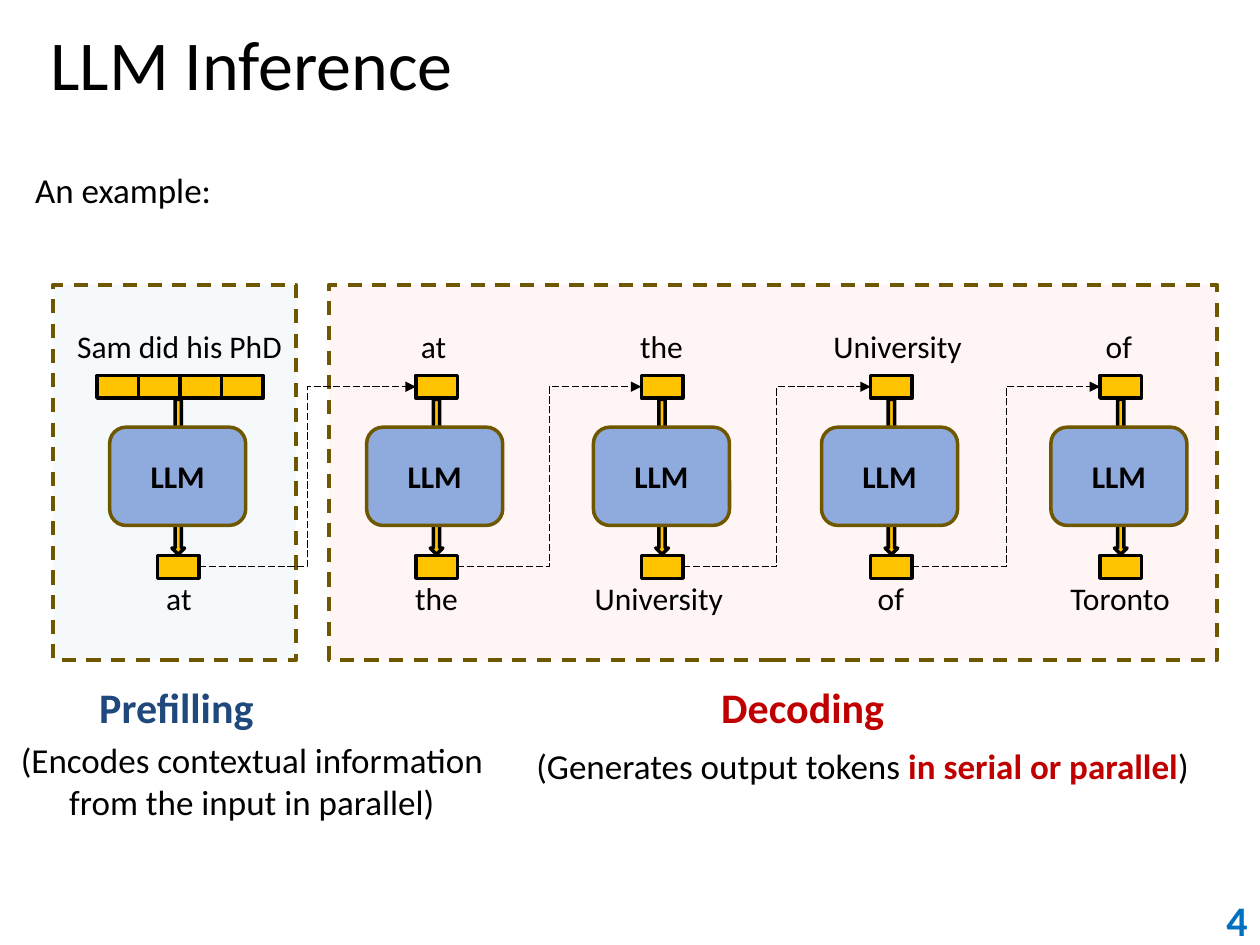
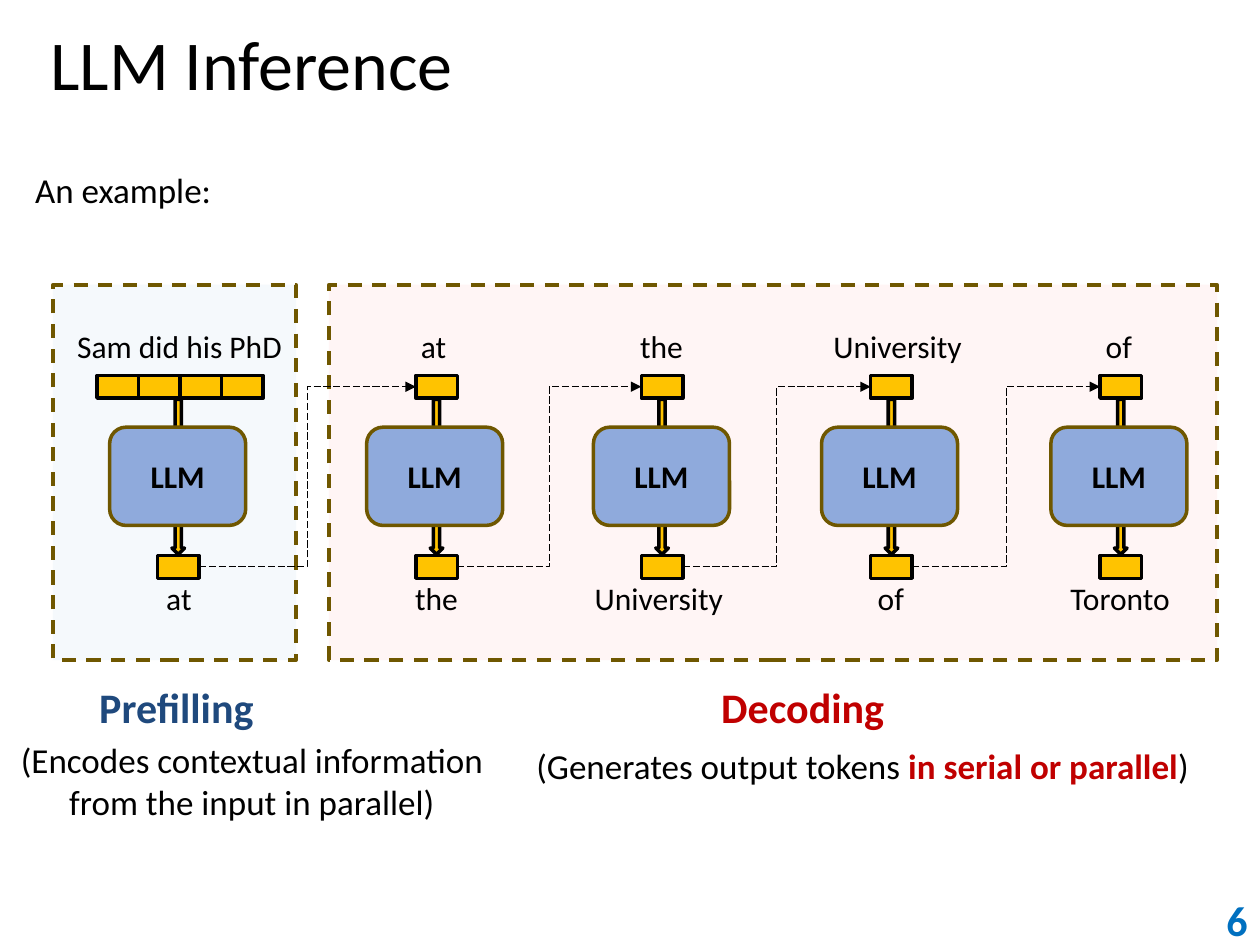
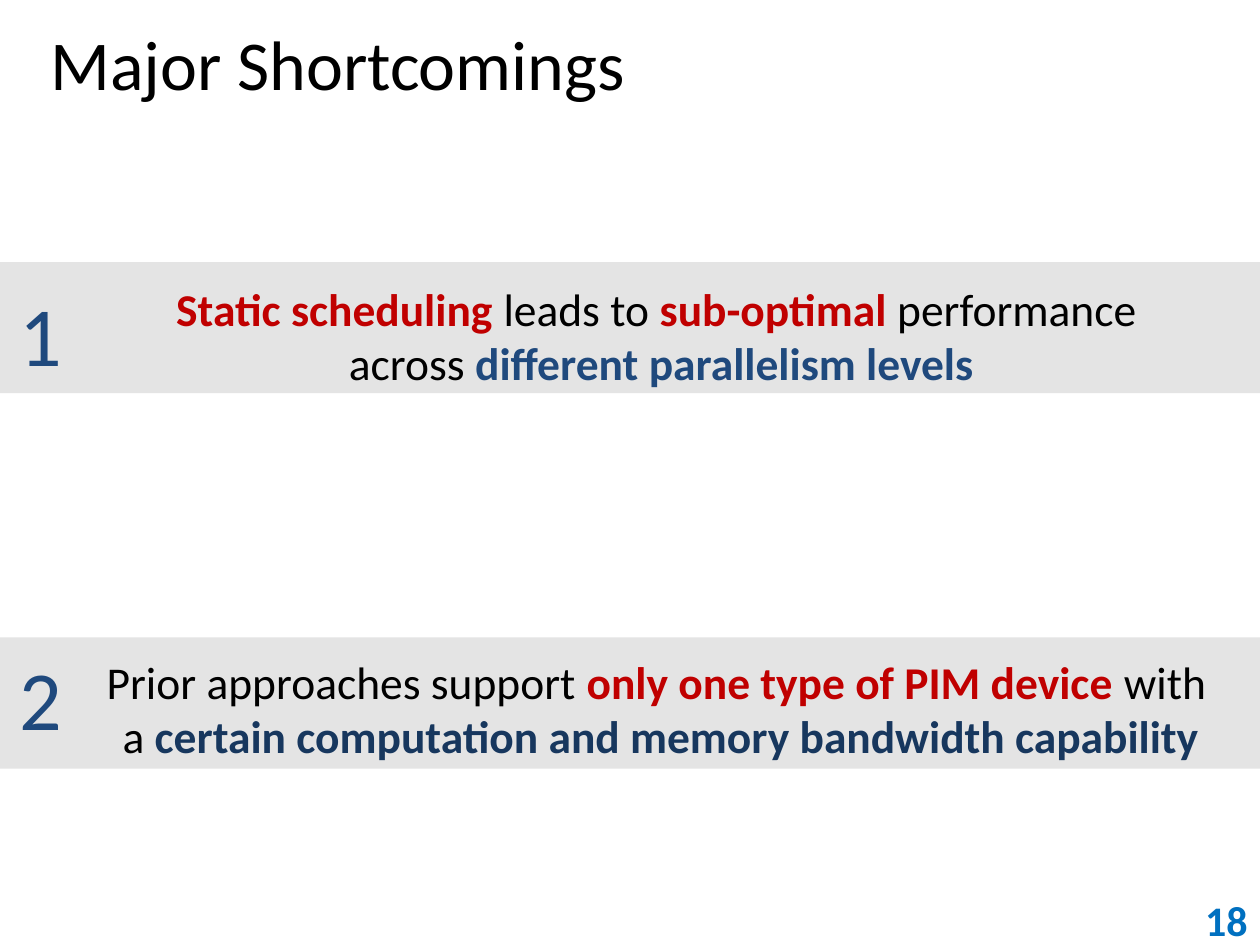
import dataclasses
import typing

import pptx
import pptx.dml.color
import pptx.enum.dml
import pptx.enum.shapes
import pptx.enum.text
import pptx.oxml
import pptx.oxml.ns
import pptx.util

Inches = pptx.util.Inches
Pt = pptx.util.Pt
Shape = pptx.enum.shapes.MSO_SHAPE
Dash = pptx.enum.dml.MSO_LINE
Align = pptx.enum.text.PP_ALIGN
Anchor = pptx.enum.text.MSO_ANCHOR

# Shared look
FONT = "Calibri"
HUES = {
    "black": "000000", "white": "FFFFFF", "red": "C00000", "navy": "1F497D",
    "deep": "17375E", "page": "0070C0", "gold": "FFC300", "brown": "6F5700",
    "model": "8FAADC", "rose": "FFF5F5", "ice": "F5F9FC", "grey": "E4E4E4",
}
NAMES = {"a": "http://schemas.openxmlformats.org/drawingml/2006/main"}

# Rows of the token diagram, in inches
TOKEN_W, TOKEN_H = 0.33, 0.18
IN_TOP, OUT_TOP = 2.98, 4.41
ARROW_W = 0.1


@dataclasses.dataclass
class Box:
    left: float
    top: float
    wide: float
    high: float


class Part(typing.NamedTuple):
    text: str
    hue: str = "black"
    bold: bool = False


class Tag(typing.NamedTuple):
    text: str
    left: float
    wide: float


@dataclasses.dataclass
class Stage:
    token: float
    model: float
    given: Tag
    made: Tag
    count: int = 1
    first: float | None = None


@dataclasses.dataclass
class Flaw:
    number: str
    top: float
    lines: list[list[Part]]
    number_top: float
    text: Box


STAGES = [
    Stage(1.25, 0.87, Tag("Sam did his PhD", 0.34, 2.17), Tag("at", 1.19, 0.46), 4, 0.77),
    Stage(3.3, 2.91, Tag("at", 3.09, 0.7), Tag("the", 3.1, 0.73)),
    Stage(5.09, 4.71, Tag("the", 4.9, 0.7), Tag("University", 4.53, 1.4)),
    Stage(6.91, 6.52, Tag("University", 6.46, 1.33), Tag("of", 6.37, 1.4)),
    Stage(8.73, 8.34, Tag("of", 8.53, 0.7), Tag("Toronto", 8.19, 1.4)),
]

FLAWS = [
    Flaw("1", 2.08, [
        [Part("Static scheduling ", "red", True), Part("leads to "),
         Part("sub-optimal ", "red", True), Part("performance ")],
        [Part("across "), Part("different parallelism levels", "navy", True)],
    ], 2.19, Box(0.26, 2.18, 9.42, 0.98)),
    Flaw("2", 5.06, [
        [Part("Prior approaches support "),
         Part("only one type of PIM device ", "red", True), Part("with ")],
        [Part("a "),
         Part("certain computation and memory bandwidth capability", "deep", True)],
    ], 5.08, Box(-0.03, 5.14, 10, 0.98)),
]


# Drawing helpers
def color(hue: str) -> pptx.dml.color.RGBColor:
    return pptx.dml.color.RGBColor.from_string(HUES[hue])


def style(run, size: float, hue: str = "black", bold: bool = False) -> None:
    run.font.name = FONT
    run.font.size = Pt(size)
    run.font.bold = bold
    run.font.color.rgb = color(hue)


def place(shape, box: Box) -> None:
    shape.left, shape.top = Inches(box.left), Inches(box.top)
    shape.width, shape.height = Inches(box.wide), Inches(box.high)


def write(frame, text: str, size: float, hue: str = "black", bold: bool = False,
          align=Align.CENTER) -> None:
    frame.word_wrap = True
    frame.text = text
    frame.paragraphs[0].alignment = align
    style(frame.paragraphs[0].runs[0], size, hue, bold)


def mix(frame, lines: list[list[Part]], size: float) -> None:
    for index, parts in enumerate(lines):
        para = frame.add_paragraph() if index else frame.paragraphs[0]
        para.alignment = Align.CENTER
        for part in parts:
            run = para.add_run()
            run.text = part.text
            style(run, size, part.hue, part.bold)


def frame_at(shapes, box: Box, pad: float = 0.05, anchor=Anchor.TOP):
    frame = shapes.add_textbox(Inches(box.left), Inches(box.top),
                               Inches(box.wide), Inches(box.high)).text_frame
    frame.word_wrap = True
    frame.margin_top = frame.margin_bottom = Inches(pad)
    frame.vertical_anchor = anchor
    return frame


def draw(shapes, kind, box: Box, fill: str, line: str | None = None, dash=None):
    shape = shapes.add_shape(kind, Inches(box.left), Inches(box.top),
                             Inches(box.wide), Inches(box.high))
    shape.shadow.inherit = False
    shape.fill.solid()
    shape.fill.fore_color.rgb = color(fill)
    if line is None:
        shape.line.fill.background()
        return shape
    shape.line.color.rgb = color(line)
    shape.line.width = Pt(2)
    if dash is not None:
        shape.line.dash_style = dash
    return shape


def token(shapes, left: float, top: float):
    return draw(shapes, Shape.RECTANGLE, Box(left, top, TOKEN_W, TOKEN_H), "gold", "black")


def link(shapes, start, end) -> None:
    """Feed one stage's output token to the next stage's input."""
    line = shapes.add_connector(
        pptx.enum.shapes.MSO_CONNECTOR.ELBOW,
        start.left + start.width, start.top + start.height // 2,
        end.left, end.top + end.height // 2)
    line.begin_connect(start, 3)
    line.end_connect(end, 1)
    line.line.color.rgb = color("black")
    line.line.width = Pt(0.5)
    line.line.dash_style = Dash.LONG_DASH
    props = line._element.spPr
    stroke = props.find("a:ln", NAMES)
    head = pptx.oxml.parse_xml(f'<a:tailEnd xmlns:a="{NAMES["a"]}" type="triangle"/>')
    stroke.append(head)
    props.append(pptx.oxml.parse_xml(f'<a:effectLst xmlns:a="{NAMES["a"]}"/>'))


# Slide frame: title and page number
def start_slide(deck, title: str, page: str):
    slide = deck.slides.add_slide(deck.slide_layouts[5])
    head = slide.shapes.title
    place(head, Box(0, 0, 10, 1))
    frame = head.text_frame
    write(frame, title, 40, align=Align.LEFT)
    frame.auto_size = pptx.enum.text.MSO_AUTO_SIZE.NONE
    frame.vertical_anchor = Anchor.MIDDLE
    frame.margin_left = Inches(0.4)
    foot = frame_at(slide.shapes, Box(8, 7.1, 2, 0.4), anchor=Anchor.MIDDLE)
    write(foot, page, 24, "page", True, Align.RIGHT)
    return slide


# One model step, with its input and output tokens
def draw_stage(shapes, stage: Stage) -> tuple:
    middle = stage.token + TOKEN_W / 2
    draw(shapes, Shape.DOWN_ARROW, Box(middle - ARROW_W / 2, 3.17, ARROW_W, 1.23),
         "gold", "black")
    first = stage.token if stage.first is None else stage.first
    fed = [token(shapes, first + i * TOKEN_W, IN_TOP) for i in range(stage.count)]
    made = token(shapes, stage.token, OUT_TOP)
    model = draw(shapes, Shape.ROUNDED_RECTANGLE, Box(stage.model, 3.39, 1.08, 0.78),
                 "model", "brown")
    write(model.text_frame, "LLM", 18, bold=True)
    for tag, top in ((stage.given, 2.55), (stage.made, 4.55)):
        write(frame_at(shapes, Box(tag.left, top, tag.wide, 0.4)), tag.text, 18)
    return fed[0], made


def inference(deck, page: str) -> None:
    shapes = start_slide(deck, "LLM Inference", page).shapes
    for left, wide, fill in ((2.61, 7.05, "rose"), (0.42, 1.93, "ice")):
        draw(shapes, Shape.RECTANGLE, Box(left, 2.26, wide, 2.98), fill, "brown", Dash.DASH)

    # Steps and the links between them
    ends = [draw_stage(shapes, stage) for stage in STAGES]
    for (_, made), (fed, _) in zip(ends, ends[1:]):
        link(shapes, made, fed)

    # Phase names and notes
    write(frame_at(shapes, Box(0.18, 1.34, 4.3, 0.34), 0), "An example:", 20,
          align=Align.LEFT)
    write(frame_at(shapes, Box(-0.05, 5.36, 2.9, 0.5)), "Prefilling", 24, "navy", True)
    write(frame_at(shapes, Box(3.56, 5.36, 5.62, 0.5)), "Decoding", 24, "red", True)
    write(frame_at(shapes, Box(-0.15, 5.86, 4.3, 0.67), 0),
          "(Encodes contextual information from the input in parallel)", 20)
    mix(frame_at(shapes, Box(3.79, 5.86, 6.11, 0.44)),
        [[Part("(Generates output tokens "),
          Part("in serial or parallel", "red", True), Part(")")]], 20)


def flaws(deck, page: str) -> None:
    slide = start_slide(deck, "Major Shortcomings", page)
    for flaw in FLAWS:
        shapes = slide.shapes.add_group_shape().shapes
        draw(shapes, Shape.RECTANGLE, Box(0, flaw.top, 10, 1.04), "grey")
        label = frame_at(shapes, Box(0.06, flaw.number_top, 0.52, 0.91),
                         anchor=Anchor.MIDDLE)
        write(label, flaw.number, 48, "navy", align=Align.LEFT)
        frame = frame_at(shapes, flaw.text)
        frame.margin_left = Inches(0.66)
        mix(frame, flaw.lines, 26)


def main() -> None:
    deck = pptx.Presentation()
    deck.slide_width, deck.slide_height = Inches(10), Inches(7.5)
    inference(deck, "4")
    inference(deck, "6")
    flaws(deck, "18")
    deck.save("out.pptx")


if __name__ == "__main__":
    main()
